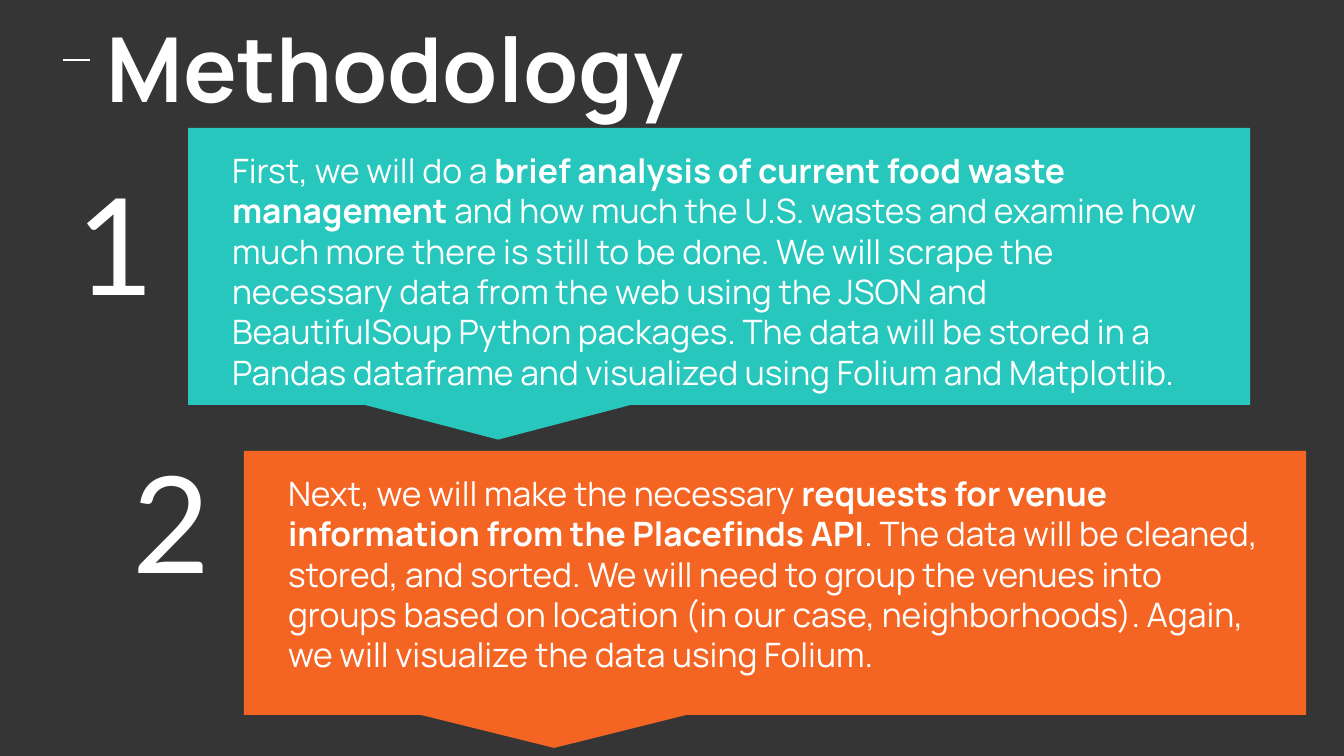
from dataclasses import dataclass

from lxml.etree import SubElement
from pptx import Presentation
from pptx.dml.color import RGBColor
from pptx.enum.shapes import MSO_CONNECTOR, MSO_SHAPE
from pptx.enum.text import MSO_ANCHOR, MSO_AUTO_SIZE, PP_ALIGN
from pptx.oxml.ns import qn
from pptx.util import Emu, Pt


@dataclass(frozen=True)
class Theme:
    background: RGBColor = RGBColor(0x35, 0x35, 0x35)
    white: RGBColor = RGBColor(0xFF, 0xFF, 0xFF)
    teal: RGBColor = RGBColor(0x27, 0xC7, 0xBD)
    orange: RGBColor = RGBColor(0xF4, 0x65, 0x24)
    text_font: str = "Manrope"
    number_font: str = "Lato"
    title_size: int = 48
    body_size: int = 18
    number_size: int = 72
    rule_width: float = 1.5


THEME = Theme()
EMU_PER_PX = 914400 / 134.4
INSET = 13

# Each step: number, left, top, callout height, number top, text height, colour, spans
STEPS = [
    ("1", 188, 128, 277, 148, 247, THEME.teal, [
        ("First, we will do a ", False),
        ("brief analysis of current food waste management", True),
        (" and how much the U.S. wastes and examine how much more there is still "
         "to be done. We will scrape the necessary data from the web using the "
         "JSON and BeautifulSoup Python packages. The data will be stored in a "
         "Pandas dataframe and visualized using Folium and Matplotlib.", False),
    ]),
    ("2", 244, 451, 264, 426, 235, THEME.orange, [
        ("Next, we will make the necessary ", False),
        ("requests for venue information from the Placefinds API", True),
        (". The data will be cleaned, stored, and sorted. We will need to group "
         "the venues into groups based on location (in our case, neighborhoods). "
         "Again, we will visualize the data using Folium.", False),
    ]),
]


def px(length):
    return Emu(round(length * EMU_PER_PX))


def set_attributes(target, values):
    for name, value in values.items():
        setattr(target, name, value)


def place(shape, left, top, width, height):
    set_attributes(shape, {
        "left": px(left), "top": px(top),
        "width": px(width), "height": px(height),
    })


def write_text(box, spans, font_name, size):
    """Fill a box with one left-aligned paragraph of (text, bold) spans."""
    frame = box.text_frame
    set_attributes(frame, {
        "word_wrap": True,
        "auto_size": MSO_AUTO_SIZE.NONE,
        "vertical_anchor": MSO_ANCHOR.TOP,
        "margin_left": px(INSET), "margin_right": px(INSET),
        "margin_top": px(INSET), "margin_bottom": px(INSET),
    })
    para = frame.paragraphs[0]
    set_attributes(para, {
        "alignment": PP_ALIGN.LEFT,
        "space_before": Pt(0),
        "line_spacing": 1.0,
    })
    for text, bold in spans:
        span = para.add_run()
        span.text = text
        set_attributes(span.font, {"name": font_name, "size": Pt(size), "bold": bold})
        span.font.color.rgb = THEME.white
    return para


def bring_to_front(shape):
    shape.element.getparent().append(shape.element)


def remove_bullet(para):
    properties = para._p.get_or_add_pPr()
    properties.set("marL", "0")
    properties.set("indent", "0")
    SubElement(properties, qn("a:buNone"))


def add_rule(page, left, right, top):
    rule = page.shapes.add_connector(
        MSO_CONNECTOR.STRAIGHT, px(left), px(top), px(right), px(top))
    rule.line.color.rgb = THEME.white
    rule.line.width = Pt(THEME.rule_width)
    SubElement(rule._element.spPr, qn("a:effectLst"))


def add_callout(page, left, top, height, color):
    callout = page.shapes.add_shape(
        MSO_SHAPE.RECTANGULAR_CALLOUT, px(left), px(top), px(1062), px(height))
    callout.adjustments[0] = -0.208
    callout.adjustments[1] = 0.625
    callout.shadow.inherit = False
    callout.fill.solid()
    callout.fill.fore_color.rgb = color
    callout.line.fill.background()


def add_number(page, number, left, top):
    box = page.shapes.add_textbox(px(left), px(top), px(144), px(247))
    write_text(box, [(number, False)], THEME.number_font, THEME.number_size)


def add_step(page, body, step):
    number, left, top, height, number_top, text_height, color, spans = step
    add_callout(page, left, top, height, color)
    place(body, left + 31, top + 9, 1003, text_height)
    remove_bullet(write_text(body, spans, THEME.text_font, THEME.body_size))
    bring_to_front(body)
    add_number(page, number, left - 125, number_top)


def main():
    deck = Presentation()
    deck.slide_width, deck.slide_height = px(1344), px(756)
    page = deck.slides.add_slide(deck.slide_layouts.get_by_name("Two Content"))
    page.background.fill.solid()
    page.background.fill.fore_color.rgb = THEME.background

    title, *bodies = page.placeholders
    place(title, 94, 0, 1267, 150)
    write_text(title, [("Methodology", True)], THEME.text_font, THEME.title_size)
    add_rule(page, 63, 90, 60)
    for body, step in zip(bodies, STEPS):
        add_step(page, body, step)
    deck.save("out.pptx")


if __name__ == "__main__":
    main()
